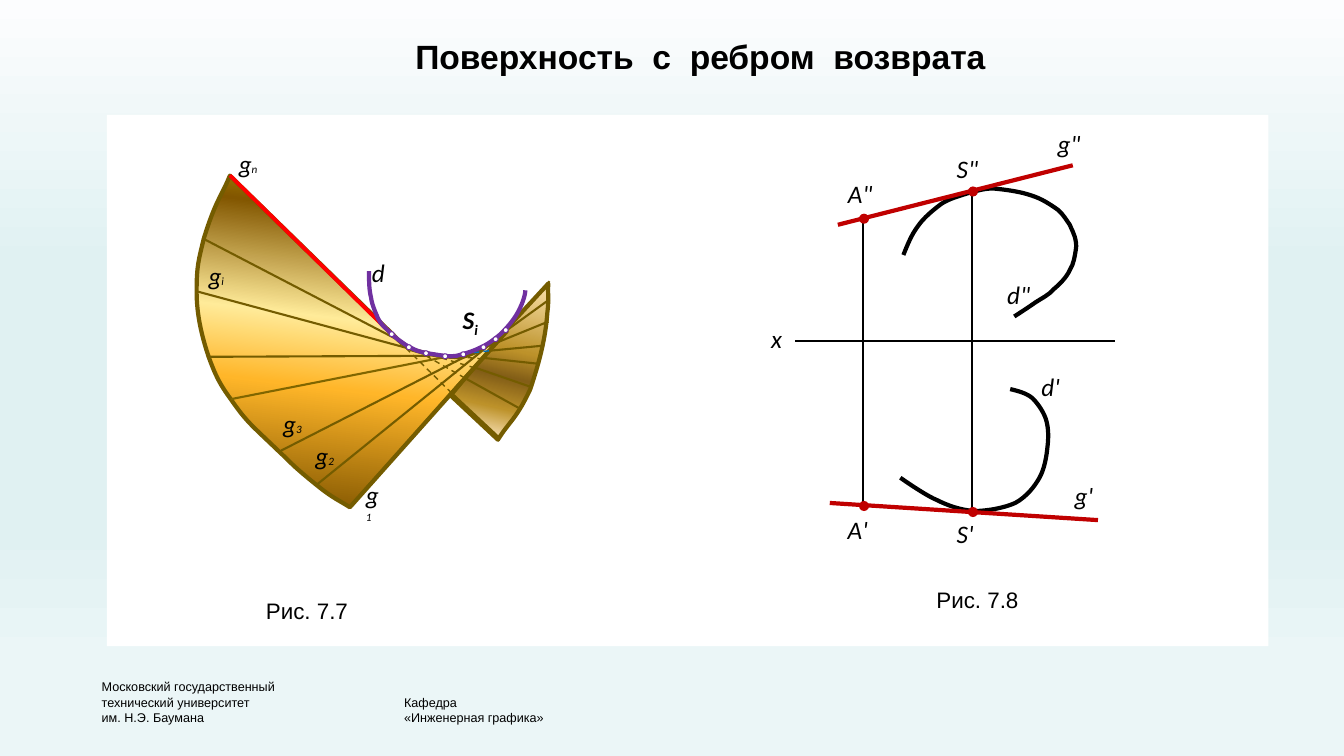
from math import cos, radians, sin

from lxml.etree import SubElement
from pptx import Presentation
from pptx.dml.color import RGBColor
from pptx.enum.dml import MSO_LINE
from pptx.enum.shapes import MSO_CONNECTOR, MSO_SHAPE
from pptx.enum.text import MSO_AUTO_SIZE, PP_ALIGN
from pptx.oxml.ns import qn
from pptx.util import Inches, Pt

rgb = RGBColor.from_string
OLIVE, RED, BLACK, WHITE, PURPLE = "745C00", "C00000", "000000", "FFFFFF", "7030A0"


def set_gradient(fill, element, stops, angle):
    fill.gradient()
    fill.gradient_angle = 360 - angle
    gs_list = element.find(".//" + qn("a:gsLst"))
    for gs in list(gs_list):
        gs_list.remove(gs)
    for pos, color in stops:
        gs = SubElement(gs_list, qn("a:gs"), pos=str(pos * 1000))
        SubElement(gs, qn("a:srgbClr"), val=color)


def add_text(text, x, y, w, h, size=18, font="Calibri", bold=False, italic=False,
             align=PP_ALIGN.LEFT, sub="", sub_size=8, baseline=None, wrap=False):
    tf = s.shapes.add_textbox(Inches(x), Inches(y), Inches(w), Inches(h)).text_frame
    tf.word_wrap = wrap
    tf.auto_size = MSO_AUTO_SIZE.SHAPE_TO_FIT_TEXT
    for i, line in enumerate(text.split("\n")):
        p = tf.add_paragraph() if i else tf.paragraphs[0]
        p.alignment = align
        for part, part_size in ((line, size), (sub, sub_size)):
            if part:
                r = p.add_run()
                r.text = part
                r.font.size, r.font.name = Pt(part_size), font
                r.font.bold, r.font.italic = bold, italic
                r.font.color.rgb = rgb(BLACK)
    if baseline:
        r.font._element.set("baseline", str(baseline))


prs = Presentation()
prs.slide_width, prs.slide_height = Inches(13.33), Inches(7.5)
s = prs.slides.add_slide(prs.slide_layouts[6])
set_gradient(s.background.fill, s.element,
             [(0, "FCFDFE"), (35, "E0F1F2"), (67, "E0F1F2"), (69, "E0F1F2"),
              (88, "EBF6F7"), (100, "EBF6F7")], 90)

sp = s.shapes.add_shape(MSO_SHAPE.RECTANGLE, Inches(1.06), Inches(1.14), Inches(11.52), Inches(5.27))
sp.shadow.inherit = False
sp.fill.solid()
sp.fill.fore_color.rgb = rgb(WHITE)
sp.line.fill.background()

small_sheet = [(4.95, 4.36), (4.48, 3.92), (4.97, 3.33), (5.45, 2.81),
               (5.44, 2.93, 5.46, 2.93, 5.44, 3.1), (5.42, 3.38, 5.35, 3.62, 5.27, 3.86),
               (5.13, 4.16, 5.06, 4.18, 4.95, 4.36)]
small_stops = [(0, "FBE4AE"), (10, "FBE4AE"), (47, "BD922A"), (61, "835E17"),
               (77, "BD922A"), (93, "FAE3B7"), (100, "A28949")]
large_sheet = [(2.28, 1.74), (3.87, 3.29), (3.95, 3.36, 4, 3.45, 4.14, 3.48),
               (4.28, 3.52, 4.41, 3.54, 4.58, 3.54), (4.81, 3.48, 4.87, 3.37, 5.03, 3.28),
               (3.47, 5.03), (3.36, 4.96, 3.3, 4.94, 3.14, 4.81),
               (2.88, 4.6, 2.89, 4.59, 2.77, 4.48), (2.49, 4.21, 2.45, 4.19, 2.29, 3.96),
               (2.18, 3.81, 2.14, 3.73, 2.07, 3.54), (2, 3.33, 1.95, 3.12, 1.95, 2.89),
               (1.95, 2.63, 1.97, 2.58, 2.02, 2.37), (2.14, 1.98, 2.19, 1.96, 2.28, 1.74)]
large_stops = [(19, "AD8B00"), (28, "825600"), (51, "FFEB99"), (66, "FFB629"),
               (93, "825600"), (100, "FFA800")]
cuspidal_edge = [(3.66, 2.69), (3.66, 2.79, 3.66, 2.87, 3.68, 2.95), (3.69, 3.03, 3.73, 3.11, 3.75, 3.16),
                 (3.78, 3.22, 3.81, 3.24, 3.84, 3.27), (3.88, 3.31, 3.93, 3.36, 3.98, 3.39),
                 (4.03, 3.43, 4.09, 3.46, 4.14, 3.48), (4.2, 3.5, 4.27, 3.51, 4.34, 3.52),
                 (4.4, 3.53, 4.46, 3.54, 4.53, 3.53), (4.6, 3.51, 4.68, 3.49, 4.76, 3.45),
                 (4.83, 3.42, 4.9, 3.37, 4.97, 3.31), (5.03, 3.25, 5.09, 3.18, 5.13, 3.11),
                 (5.17, 3.04, 5.21, 2.94, 5.21, 2.88)]
front_curve = [(8.96, 2.53), (9, 2.43, 9.04, 2.33, 9.1, 2.25), (9.16, 2.16, 9.26, 2.08, 9.34, 2.02),
               (9.42, 1.97, 9.5, 1.95, 9.59, 1.92), (9.67, 1.9, 9.75, 1.87, 9.85, 1.87),
               (9.96, 1.88, 10.12, 1.9, 10.23, 1.94), (10.33, 1.97, 10.42, 2.03, 10.49, 2.08),
               (10.55, 2.13, 10.58, 2.19, 10.61, 2.23), (10.63, 2.28, 10.65, 2.31, 10.66, 2.35),
               (10.67, 2.39, 10.68, 2.43, 10.67, 2.48), (10.66, 2.54, 10.65, 2.62, 10.61, 2.68),
               (10.58, 2.75, 10.51, 2.82, 10.45, 2.87), (10.4, 2.93, 10.33, 2.96, 10.27, 3),
               (10.2, 3.05, 10.09, 3.12, 10.06, 3.14)]
top_curve = [(10.02, 3.86), (10.1, 3.88, 10.18, 3.9, 10.24, 3.95), (10.3, 4.01, 10.36, 4.1, 10.38, 4.18),
             (10.4, 4.26, 10.4, 4.34, 10.39, 4.43), (10.38, 4.53, 10.36, 4.65, 10.31, 4.74),
             (10.26, 4.83, 10.18, 4.93, 10.07, 4.99), (9.96, 5.04, 9.79, 5.07, 9.66, 5.07),
             (9.53, 5.06, 9.41, 5.02, 9.29, 4.96), (9.17, 4.91, 8.93, 4.74, 8.93, 4.74)]

sheets = [(small_sheet, OLIVE, small_stops, 160, 302.8, (5.12, 3.53)),
          (large_sheet, OLIVE, large_stops, 45, 51.7, (3.24, 3.1))]
curves = [(outline, color, None, 0, 0, (0, 0)) for outline, color in
          ((cuspidal_edge, PURPLE), (front_curve, BLACK), (top_curve, BLACK))]

rulings = [
    (OLIVE, 1.5, False, [
        (5.03, 3.28, 3.14, 4.81), (2.77, 4.48, 4.71, 3.49), (2.07, 3.54, 4.27, 3.53),
        (1.95, 2.89, 4.14, 3.48), (2.02, 2.37, 4.02, 3.41),
        (5.15, 4.05, 4.61, 3.75), (5.27, 3.84, 4.72, 3.65), (5.35, 3.61, 4.79, 3.55),
        (5.38, 3.43, 4.85, 3.48), (5.44, 3.19, 4.58, 3.54), (5.45, 2.97, 4.98, 3.31),
        (4.48, 3.9, 4.95, 4.34), (3.47, 5.03, 5.45, 2.79)]),
    ("806600", 1.5, False, [(2.29, 3.96, 4.53, 3.52)]),
    (OLIVE, 1, True, [(4.48, 3.9, 3.84, 3.27), (4.61, 3.75, 3.98, 3.39),
                      (4.71, 3.65, 4.14, 3.48), (4.79, 3.56, 4.42, 3.53)]),
    ("0070C0", 1, True, [(4.85, 3.48, 4.53, 3.52)]),
    ("FF0000", 2.75, False, [(2.28, 1.74, 3.86, 3.29)]),
]
projections = [
    (BLACK, 1.5, False, [(7.89, 3.38, 11.06, 3.38)]),
    (RED, 3, False, [(8.23, 4.99, 10.89, 5.16), (8.31, 2.23, 10.64, 1.64)]),
    (BLACK, 1.25, False, [(8.56, 2.18, 8.56, 5.01), (9.64, 1.94, 9.64, 5.09)]),
]

for outlines, line_groups in ((sheets, rulings), (curves, projections)):
    for outline, color, stops, angle, rotation, (cx, cy) in outlines:
        co, si = cos(radians(rotation)), sin(radians(rotation))
        points = [(Inches(cx + (x - cx) * co + (y - cy) * si),
                   Inches(cy - (x - cx) * si + (y - cy) * co))
                  for seg in outline for x, y in zip(seg[::2], seg[1::2])]
        builder = s.shapes.build_freeform(*points[0])
        builder.add_line_segments(points[1:], close=bool(stops))
        sp = builder.convert_to_shape()
        steps = iter(sp.element.findall(".//" + qn("a:lnTo")))
        for seg in outline[1:]:
            step = next(steps)
            if len(seg) == 6:
                curve = step.makeelement(qn("a:cubicBezTo"))
                step.addprevious(curve)
                for part in (step, next(steps), next(steps)):
                    curve.append(part[0])
                    part.getparent().remove(part)
        sp.shadow.inherit = False
        sp.rotation = rotation
        if stops:
            set_gradient(sp.fill, sp.element, stops, angle)
        else:
            sp.fill.background()
        sp.line.color.rgb = rgb(color)
        sp.line.width = Pt(3)
    for color, width, dashed, lines in line_groups:
        for ends in lines:
            line = s.shapes.add_connector(MSO_CONNECTOR.STRAIGHT, *map(Inches, ends))
            line.line.color.rgb = rgb(color)
            line.line.width = Pt(width)
            if dashed:
                line.line.dash_style = MSO_LINE.DASH
            SubElement(line.element.spPr, qn("a:effectLst"))

edge_dots = [(4.99, 3.25), (4.57, 3.49), (4.2, 3.48), (4.03, 3.42),
             (3.86, 3.29), (4.77, 3.42), (4.89, 3.34), (4.39, 3.51)]
point_dots = [(9.6, 1.85), (9.6, 5.03), (8.52, 2.12), (8.52, 4.97)]
for kind, size, color, border, dots in (
        (MSO_SHAPE.FLOWCHART_CONNECTOR, 0.05, WHITE, PURPLE, edge_dots),
        (MSO_SHAPE.OVAL, 0.1, RED, None, point_dots)):
    for x, y in dots:
        sp = s.shapes.add_shape(kind, Inches(x), Inches(y), Inches(size), Inches(size))
        sp.shadow.inherit = False
        sp.fill.solid()
        sp.fill.fore_color.rgb = rgb(color)
        if border:
            sp.line.color.rgb = rgb(border)
            sp.line.width = Pt(0.75)
        else:
            sp.line.fill.background()

add_text("Поверхность  с  ребром  возврата", 4.02, 0.31, 5.91, 0.51, size=24, font="Arial", bold=True)
add_text("S", 4.49, 2.97, 0.39, 0.4, bold=True, italic=True, sub="i", sub_size=18, baseline=-25000)
for sub, x, y, w in (("i", 1.97, 2.53, 0.36), ("1", 3.53, 4.71, 0.38), ("2", 3.03, 4.32, 0.39),
                     ("3", 2.71, 4, 0.39), ("n", 2.27, 1.42, 0.39)):
    add_text("g", x, y, w, 0.4, italic=True, sub=sub, wrap=sub == "1")
for label, x, y, w in (("d", 3.59, 2.5, 0.33), ("d'", 10.23, 3.63, 0.4), ('d"', 9.89, 2.72, 0.45),
                       ('A"', 8.31, 1.72, 0.48), ('S"', 9.39, 1.47, 0.46), ('g"', 10.39, 1.22, 0.45),
                       ("g'", 10.56, 4.72, 0.4), ("S'", 9.39, 5.09, 0.42), ("A'", 8.31, 5.05, 0.44),
                       ("x", 7.55, 3.16, 0.33)):
    add_text(label, x, y, w, 0.4, italic=True)
for caption, x, y in (("Рис. 7.7", 2.53, 5.87), ("Рис. 7.8", 9.18, 5.77)):
    add_text(caption, x, y, 1.03, 0.37, size=16, font="Arial", align=PP_ALIGN.CENTER)
add_text("Московский государственный\nтехнический университет\nим. Н.Э. Баумана",
         0.91, 6.69, 1.98, 0.56, size=9, font="Arial")
add_text("Кафедра\n«Инженерная графика»", 3.91, 6.84, 1.6, 0.4, size=9, font="Arial")

prs.save("out.pptx")
